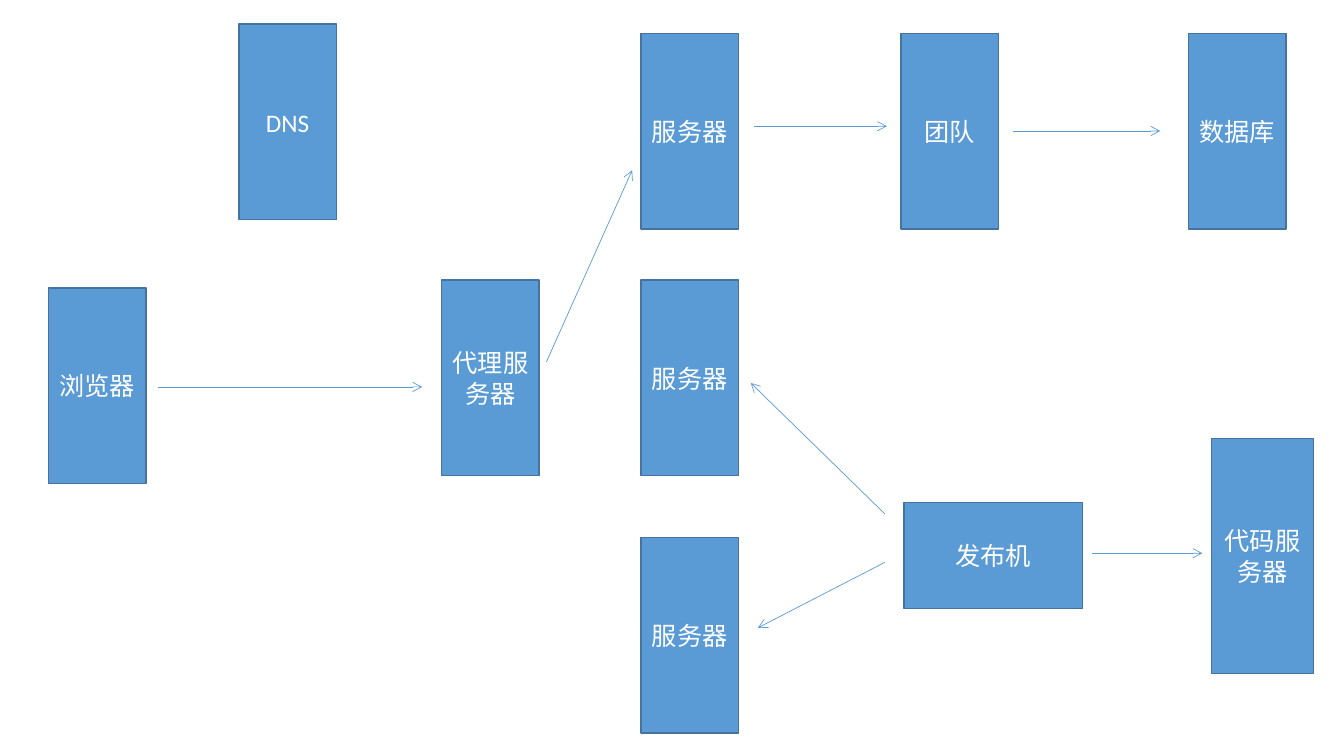
import pptx
import pptx.dml.color
import pptx.enum.shapes
import pptx.enum.text
import pptx.oxml.ns
import pptx.util
from lxml import etree

Cm = pptx.util.Cm
Pt = pptx.util.Pt
RGBColor = pptx.dml.color.RGBColor
qn = pptx.oxml.ns.qn

BLUE = RGBColor(0x5B, 0x9B, 0xD5)
EDGE = RGBColor(0x43, 0x73, 0x9E)
WHITE = RGBColor(0xFF, 0xFF, 0xFF)

NODE_SIZE = (2.46, 4.93)
TOP_ROW = 0.84
MIDDLE_ROW = 7.06
BOTTOM_ROW = 13.54
SERVER_LEFT = 16.15

FRAME_FORMAT = {
    "word_wrap": True,
    "vertical_anchor": pptx.enum.text.MSO_ANCHOR.MIDDLE,
}
FONT_FORMAT = {"name": "Calibri", "size": Pt(18)}

NODES = [
    ("浏览器", 1.22, 7.26, NODE_SIZE),
    ("DNS", 6.02, 0.61, NODE_SIZE),
    ("代理服务器", 11.13, MIDDLE_ROW, NODE_SIZE),
    ("服务器", SERVER_LEFT, MIDDLE_ROW, NODE_SIZE),
    ("服务器", SERVER_LEFT, TOP_ROW, NODE_SIZE),
    ("服务器", SERVER_LEFT, BOTTOM_ROW, NODE_SIZE),
    ("团队", 22.71, TOP_ROW, NODE_SIZE),
    ("数据库", 29.95, TOP_ROW, NODE_SIZE),
    ("发布机", 22.78, 12.67, (4.5, 2.67)),
    ("代码服务器", 30.53, 11.05, (2.57, 5.92)),
]

ARROWS = [
    ((3.99, 9.75), (10.64, 9.75)),
    ((13.77, 9.12), (15.93, 4.29)),
    ((19.0, 3.18), (22.35, 3.18)),
    ((25.53, 3.3), (29.24, 3.3)),
    ((27.53, 13.94), (30.3, 13.94)),
    ((22.3, 14.17), (19.1, 15.82)),
    ((22.3, 12.95), (18.92, 9.65)),
]


def apply_format(target, values):
    for name, value in values.items():
        setattr(target, name, value)


def set_line(line, color, width):
    line.color.rgb = color
    line.width = Pt(width)


def add_node(s, text, left, top, size):
    sp = s.shapes.add_shape(
        pptx.enum.shapes.MSO_SHAPE.RECTANGLE,
        *(Cm(v) for v in (left, top, *size)))
    sp.shadow.inherit = False
    sp.fill.solid()
    sp.fill.fore_color.rgb = BLUE
    set_line(sp.line, EDGE, 1)
    tf = sp.text_frame
    apply_format(tf, FRAME_FORMAT)
    p = tf.paragraphs[0]
    p.alignment = pptx.enum.text.PP_ALIGN.CENTER
    r = p.add_run()
    r.text = text
    apply_format(r.font, FONT_FORMAT)
    r.font.color.rgb = WHITE


def add_arrow(s, start, end):
    cxn = s.shapes.add_connector(
        pptx.enum.shapes.MSO_CONNECTOR.STRAIGHT,
        *(Cm(v) for v in (*start, *end)))
    set_line(cxn.line, BLUE, 0.5)
    sp_pr = cxn._element.spPr
    etree.SubElement(sp_pr.find(qn("a:ln")), qn("a:tailEnd"), type="arrow")
    etree.SubElement(sp_pr, qn("a:effectLst"))


def main():
    prs = pptx.Presentation()
    prs.slide_width = Cm(33.87)
    prs.slide_height = Cm(19.05)
    s = prs.slides.add_slide(prs.slide_layouts[6])
    for node in NODES:
        add_node(s, *node)
    for start, end in ARROWS:
        add_arrow(s, start, end)
    prs.save("out.pptx")


main()
